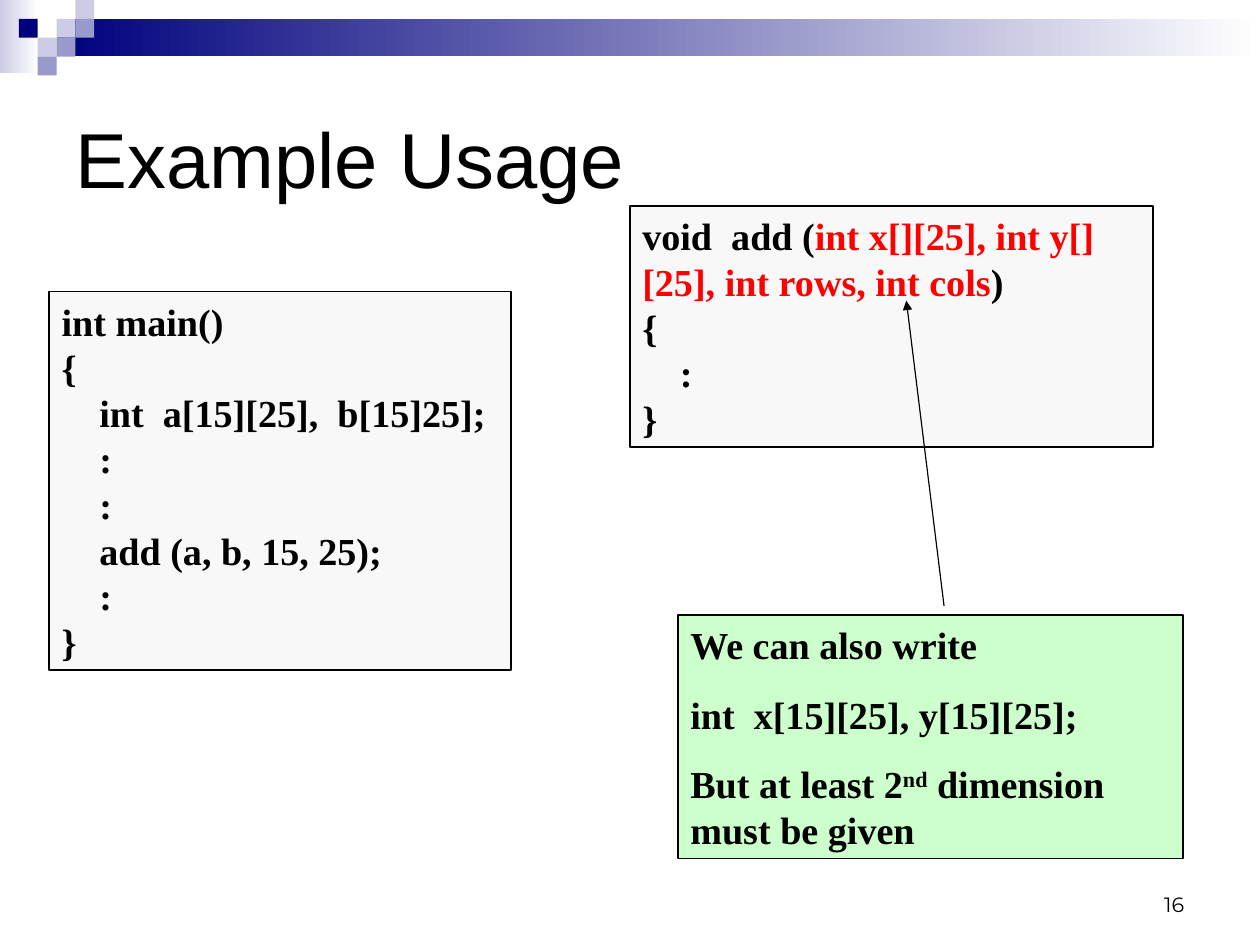
from lxml.etree import SubElement
from pptx import Presentation
from pptx.dml.color import RGBColor
from pptx.enum.shapes import MSO_CONNECTOR as Connector, MSO_SHAPE as Shape
from pptx.enum.text import MSO_ANCHOR as Anchor, PP_ALIGN as Align
from pptx.oxml.ns import qn
from pptx.util import Inches, Pt

BLACK = RGBColor(0, 0, 0)
WHITE = RGBColor(255, 255, 255)
RED = RGBColor(255, 0, 0)
NAVY = RGBColor(0, 0, 0x7D)
LAVENDER = RGBColor(0xCC, 0xCC, 0xE6)
PERIWINKLE = RGBColor(0x99, 0x99, 0xCC)
CODE_GRAY = RGBColor(0xF8, 0xF8, 0xF8)
NOTE_GREEN = RGBColor(0xCC, 0xFF, 0xCC)
POINTS_PER_INCH = 72
SLIDE_WIDTH = Inches(793.75 / POINTS_PER_INCH)
SLIDE_HEIGHT = Inches(595.25 / POINTS_PER_INCH)
TILE = 0.66 / 4
CODE_INDENT = Inches(0.33)


def add_box(slide, left, top, width, height):
    shape = slide.shapes.add_shape(
        Shape.RECTANGLE, Inches(left), Inches(top), Inches(width), Inches(height))
    shape.shadow.inherit = False
    shape.line.fill.background()
    return shape


def add_gradient(slide, left, top, width, height, color):
    fill = add_box(slide, left, top, width, height).fill
    fill.gradient()
    fill.gradient_angle = 0
    for stop, stop_color, position in zip(fill.gradient_stops, (color, WHITE), (0, 1)):
        stop.color.rgb = stop_color
        stop.position = position


def add_tile(slide, column, row, color):
    tile = add_box(slide, column * TILE, row * TILE, TILE, TILE)
    tile.fill.solid()
    tile.fill.fore_color.rgb = color


def set_frame(shape, anchor):
    frame = shape.text_frame
    frame.word_wrap = True
    frame.vertical_anchor = anchor
    frame.margin_left = frame.margin_right = Inches(0.11)
    frame.margin_top = frame.margin_bottom = Inches(0.06)
    return frame


def add_run(paragraph, text, font_name, size, color=BLACK, bold=False):
    run = paragraph.add_run()
    run.text = text
    run.font.name = font_name
    run.font.size = Pt(size)
    run.font.color.rgb = color
    run.font.bold = bold
    return run


def add_label(slide, left, top, width, height, text, font_name, size, anchor, align):
    label = slide.shapes.add_textbox(
        Inches(left), Inches(top), Inches(width), Inches(height))
    paragraph = set_frame(label, anchor).paragraphs[0]
    paragraph.alignment = align
    add_run(paragraph, text, font_name, size)


def add_panel(slide, left, top, width, height, color):
    panel = add_box(slide, left, top, width, height)
    panel.fill.solid()
    panel.fill.fore_color.rgb = color
    panel.line.color.rgb = BLACK
    panel.line.width = Pt(1)
    return set_frame(panel, Anchor.TOP)


def add_lines(frame, lines, space_before=0):
    for number, (indent, runs) in enumerate(lines):
        paragraph = frame.add_paragraph() if number else frame.paragraphs[0]
        paragraph.alignment = Align.LEFT
        paragraph.space_before = Pt(space_before)
        if indent:
            paragraph._p.get_or_add_pPr().set("marL", str(indent))
        for text, color, baseline in runs:
            run = add_run(paragraph, text, "Times New Roman", 24, color, True)
            if baseline:
                run.font._element.set("baseline", str(baseline))


def plain(text, indent=0):
    return indent, [(text, BLACK, 0)]


def add_arrow(slide, start_x, start_y, end_x, end_y):
    arrow = slide.shapes.add_connector(
        Connector.STRAIGHT, Inches(start_x), Inches(start_y), Inches(end_x), Inches(end_y))
    arrow.line.color.rgb = BLACK
    arrow.line.width = Pt(0.75)
    SubElement(arrow.line._get_or_add_ln(), qn("a:tailEnd"), type="triangle")
    SubElement(arrow._element.spPr, qn("a:effectLst"))


def add_banner(slide):
    add_gradient(slide, 0, 0, 0.34, 0.64, LAVENDER)
    add_gradient(slide, 0.5, TILE, 10.52, 2 * TILE, NAVY)
    for column, row, color in (
            (3, 1, LAVENDER), (4, 0, LAVENDER), (4, 1, PERIWINKLE), (2, 2, LAVENDER),
            (1, 1, NAVY), (3, 2, PERIWINKLE), (2, 3, PERIWINKLE)):
        add_tile(slide, column, row, color)


def main():
    presentation = Presentation()
    presentation.slide_width = SLIDE_WIDTH
    presentation.slide_height = SLIDE_HEIGHT
    slide = presentation.slides.add_slide(presentation.slide_layouts[6])

    add_banner(slide)
    add_label(slide, 7.9, 7.53, 2.57, 0.55, "16", "Montserrat", 13,
              Anchor.BOTTOM, Align.RIGHT)
    add_label(slide, 0.55, 0.55, 9.92, 1.65, "Example Usage", "Arial", 49,
              Anchor.MIDDLE, Align.LEFT)

    main_code = add_panel(slide, 0.43, 2.55, 4.04, 3.31, CODE_GRAY)
    add_lines(main_code, [
        plain("int main()"),
        plain("{"),
        plain("int  a[15][25],  b[15]25];", CODE_INDENT),
        plain(":", CODE_INDENT),
        plain(":", CODE_INDENT),
        plain("add (a, b, 15, 25);", CODE_INDENT),
        plain(":", CODE_INDENT),
        plain("}"),
    ])

    add_code = add_panel(slide, 5.51, 1.8, 4.58, 2.11, CODE_GRAY)
    add_lines(add_code, [
        (0, [("void  add (", BLACK, 0),
             ("int x[][25], int y[][25], int rows, int cols", RED, 0),
             (")", BLACK, 0)]),
        plain("{"),
        plain(":", CODE_INDENT),
        plain("}"),
    ])

    note = add_panel(slide, 5.93, 5.38, 4.42, 2.13, NOTE_GREEN)
    add_lines(note, [
        plain("We can also write"),
        plain("int  x[15][25], y[15][25];"),
        (0, [("But at least 2", BLACK, 0), ("nd", BLACK, 30000),
             (" dimension must be given", BLACK, 0)]),
    ], space_before=15)

    add_arrow(slide, 8.26, 5.3, 7.93, 2.63)
    presentation.save("out.pptx")


if __name__ == "__main__":
    main()
